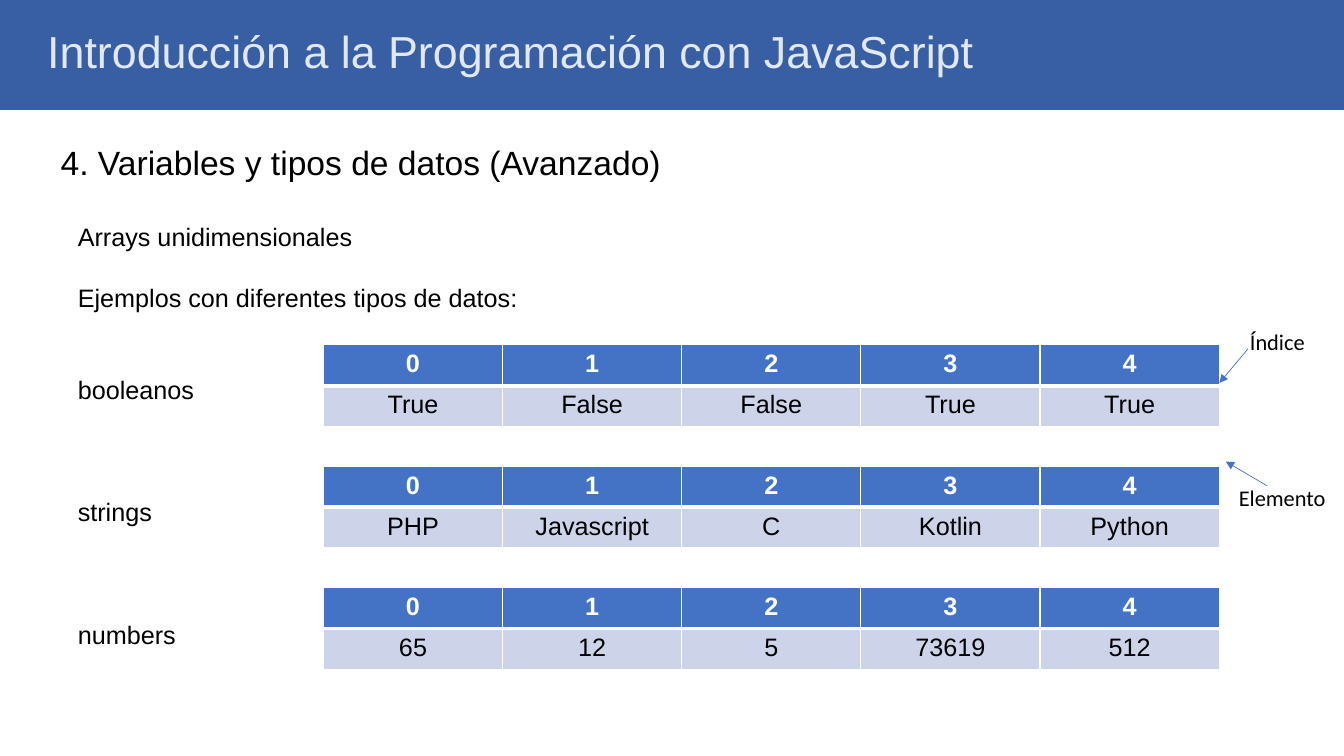
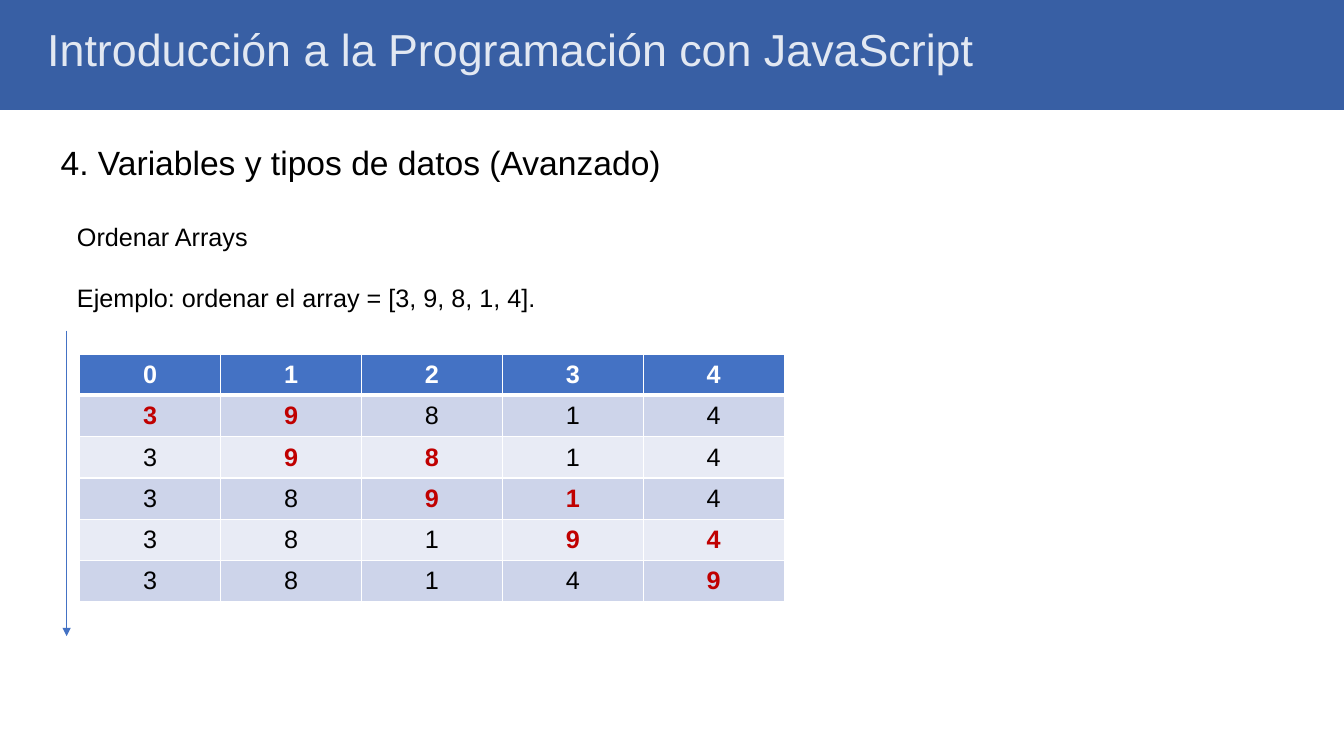
from dataclasses import dataclass

import lxml.etree
import pptx
import pptx.dml.color
import pptx.enum.shapes
import pptx.enum.text
import pptx.oxml.ns
import pptx.slide
import pptx.text.text
import pptx.util

Cm = pptx.util.Cm
Pt = pptx.util.Pt
RGB = pptx.dml.color.RGBColor
Anchor = pptx.enum.text.MSO_ANCHOR
qn = pptx.oxml.ns.qn

# Shared look
BAND = RGB(0x38, 0x5F, 0xA4)
BLUE = RGB(0x44, 0x72, 0xC4)
DARK = RGB(0xCD, 0xD4, 0xEA)
PALE = RGB(0xE8, 0xEB, 0xF5)
RED = RGB(0xC0, 0x00, 0x00)
WHITE = RGB(0xFF, 0xFF, 0xFF)
BLACK = RGB(0x00, 0x00, 0x00)
WIDE, HIGH = Cm(33.87), Cm(19.05)
PAD = 0.13
COURSE = "Introducción a la Programación con JavaScript"
TOPIC = "4. Variables y tipos de datos (Avanzado)"
HEAD = ["0", "1", "2", "3", "4"]


@dataclass
class Box:
    """Place and size in centimetres."""
    left: float
    top: float
    width: float
    height: float

    def size(self) -> tuple:
        return Cm(self.left), Cm(self.top), Cm(self.width), Cm(self.height)


@dataclass
class Line:
    """Body line with the space before it in points."""
    text: str
    gap: float = 0


@dataclass
class Label:
    text: str
    box: Box


@dataclass
class Arrow:
    """Start and end in centimetres; the head is at the end."""
    x1: float
    y1: float
    x2: float
    y2: float


@dataclass
class Grid:
    box: Box
    rows: list[list[str]]
    anchor: Anchor = Anchor.TOP
    pairs: bool = False  # mark the two cells compared in each step


def add_run(para: pptx.text.text._Paragraph, text: str, size: float,
            color: RGB = BLACK, face: str = "Arial", bold: bool = False) -> None:
    run = para.add_run()
    run.text = text
    font = run.font
    font.name, font.size, font.bold = face, Pt(size), bold
    font.color.rgb = color


def set_frame(frame: pptx.text.text.TextFrame, pad: float = PAD,
              wrap: bool = True) -> None:
    frame.word_wrap = wrap
    frame.auto_size = pptx.enum.text.MSO_AUTO_SIZE.NONE
    frame.vertical_anchor = Anchor.TOP
    frame.margin_left = frame.margin_right = Cm(pad)
    frame.margin_top = frame.margin_bottom = Cm(pad)


def place(shape, box: Box) -> None:
    shape.left, shape.top, shape.width, shape.height = box.size()


def add_label(slide: pptx.slide.Slide, label: Label, size: float,
              face: str, wrap: bool = True) -> None:
    frame = slide.shapes.add_textbox(*label.box.size()).text_frame
    set_frame(frame, wrap=wrap)
    add_run(frame.paragraphs[0], label.text, size, face=face)


def add_base(deck, top: float) -> pptx.slide.Slide:
    """Start a slide with band, course title and topic."""
    slide = deck.slides.add_slide(deck.slide_layouts[1])
    shapes = slide.shapes
    band = shapes.add_shape(pptx.enum.shapes.MSO_SHAPE.RECTANGLE,
                            0, 0, WIDE, Cm(2.74))
    band.shadow.inherit = False
    band.fill.solid()
    band.fill.fore_color.rgb = band.line.color.rgb = BAND
    band.line.width = Pt(2)
    shapes.element.insert(2, band.element)  # behind the title

    title = shapes.title
    place(title, Box(0.86, top, 25.81, 1.98))
    set_frame(title.text_frame, 0.33)
    para = title.text_frame.paragraphs[0]
    para.alignment = pptx.enum.text.PP_ALIGN.LEFT
    para.line_spacing = 0.9
    add_run(para, COURSE, 32, WHITE)
    for tint in title.element.iter(qn("a:srgbClr")):
        lxml.etree.SubElement(tint, qn("a:alpha"), val="85000")

    add_label(slide, Label(TOPIC, Box(1.4, 3.45, 15.47, 1.24)), 24, "Arial", False)
    return slide


def add_body(slide: pptx.slide.Slide, box: Box, lines: list[Line]) -> None:
    body = slide.placeholders[1]
    place(body, box)
    frame = body.text_frame
    set_frame(frame)
    for num, line in enumerate(lines):
        para = frame.add_paragraph() if num else frame.paragraphs[0]
        prop = para._p.get_or_add_pPr()
        prop.set("marL", "0")
        prop.set("indent", "0")
        lxml.etree.SubElement(prop, qn("a:buNone"))
        para.space_before = Pt(line.gap)
        add_run(para, line.text, 18)


def add_edge(cell, side: str, width: float) -> None:
    edge = lxml.etree.SubElement(cell._tc.get_or_add_tcPr(), qn(f"a:ln{side}"),
                                 w=str(Pt(width)))
    fill = lxml.etree.SubElement(edge, qn("a:solidFill"))
    lxml.etree.SubElement(fill, qn("a:srgbClr"), val=str(WHITE))


def add_grid(slide: pptx.slide.Slide, grid: Grid) -> None:
    rows = [HEAD] + grid.rows
    table = slide.shapes.add_table(len(rows), len(HEAD), *grid.box.size()).table
    for y, row in enumerate(rows):
        for x, text in enumerate(row):
            cell = table.cell(y, x)
            # Thick rule between the header and the data
            for side in "LRTB":
                thick = (y, side) in ((0, "B"), (1, "T"))
                add_edge(cell, side, 3 if thick else 1)
            cell.fill.solid()
            cell.fill.fore_color.rgb = BLUE if y == 0 else DARK if y % 2 else PALE
            cell.vertical_anchor = grid.anchor
            cell.margin_left = cell.margin_right = Cm(PAD)
            cell.margin_top = cell.margin_bottom = Cm(PAD)
            mark = grid.pairs and y > 0 and x in (y - 1, y)
            color = WHITE if y == 0 else RED if mark else BLACK
            para = cell.text_frame.paragraphs[0]
            para.alignment = pptx.enum.text.PP_ALIGN.CENTER
            add_run(para, text, 18, color, bold=y == 0 or mark)


def add_arrow(slide: pptx.slide.Slide, arrow: Arrow) -> None:
    line = slide.shapes.add_connector(
        pptx.enum.shapes.MSO_CONNECTOR.STRAIGHT,
        Cm(arrow.x1), Cm(arrow.y1), Cm(arrow.x2), Cm(arrow.y2))
    line.line.color.rgb = BLUE
    line.line.width = Pt(0.5)
    prop = line.element.spPr
    lxml.etree.SubElement(prop.find(qn("a:ln")), qn("a:tailEnd"), type="triangle")
    lxml.etree.SubElement(prop, qn("a:effectLst"))


def add_types(deck) -> None:
    """Arrays of three data types."""
    slide = add_base(deck, 0.41)
    add_body(slide, Box(1.83, 5.44, 30.23, 10.62), [
        Line("Arrays unidimensionales"),
        Line("Ejemplos con diferentes tipos de datos:", 22),
        Line("booleanos", 44),
        Line("strings", 66),
        Line("numbers", 66),
    ])
    data = [
        ["True", "False", "False", "True", "True"],
        ["PHP", "Javascript", "C", "Kotlin", "Python"],
        ["65", "12", "5", "73619", "512"],
    ]
    for num, row in enumerate(data):
        add_grid(slide, Grid(Box(8.15, 8.69 + 3.06 * num, 22.58, 2.06), [row]))
    for label in (Label("Elemento", Box(31.09, 12.06, 2.64, 0.91)),
                  Label("Índice", Box(31.37, 8.13, 1.93, 0.91))):
        add_label(slide, label, 16, "Calibri")
    for arrow in (Arrow(31.45, 8.79, 30.73, 9.65),
                  Arrow(31.93, 12.24, 30.89, 11.63)):
        add_arrow(slide, arrow)


def add_sort(deck) -> None:
    """First pass of sorting an array."""
    slide = add_base(deck, 0.36)
    add_body(slide, Box(1.81, 5.44, 30.23, 2.51), [
        Line("Ordenar Arrays"),
        Line("Ejemplo: ordenar el array = [3, 9, 8, 1, 4].", 22),
    ])
    steps = ["39814", "39814", "38914", "38194", "38149"]
    add_grid(slide, Grid(Box(2.01, 8.92, 17.75, 6.25),
                         [list(step) for step in steps], Anchor.MIDDLE, True))
    add_arrow(slide, Arrow(1.68, 8.33, 1.68, 16.03))


def main() -> None:
    deck = pptx.Presentation()
    deck.slide_width, deck.slide_height = WIDE, HIGH
    add_types(deck)
    add_sort(deck)
    deck.save("out.pptx")


if __name__ == "__main__":
    main()
